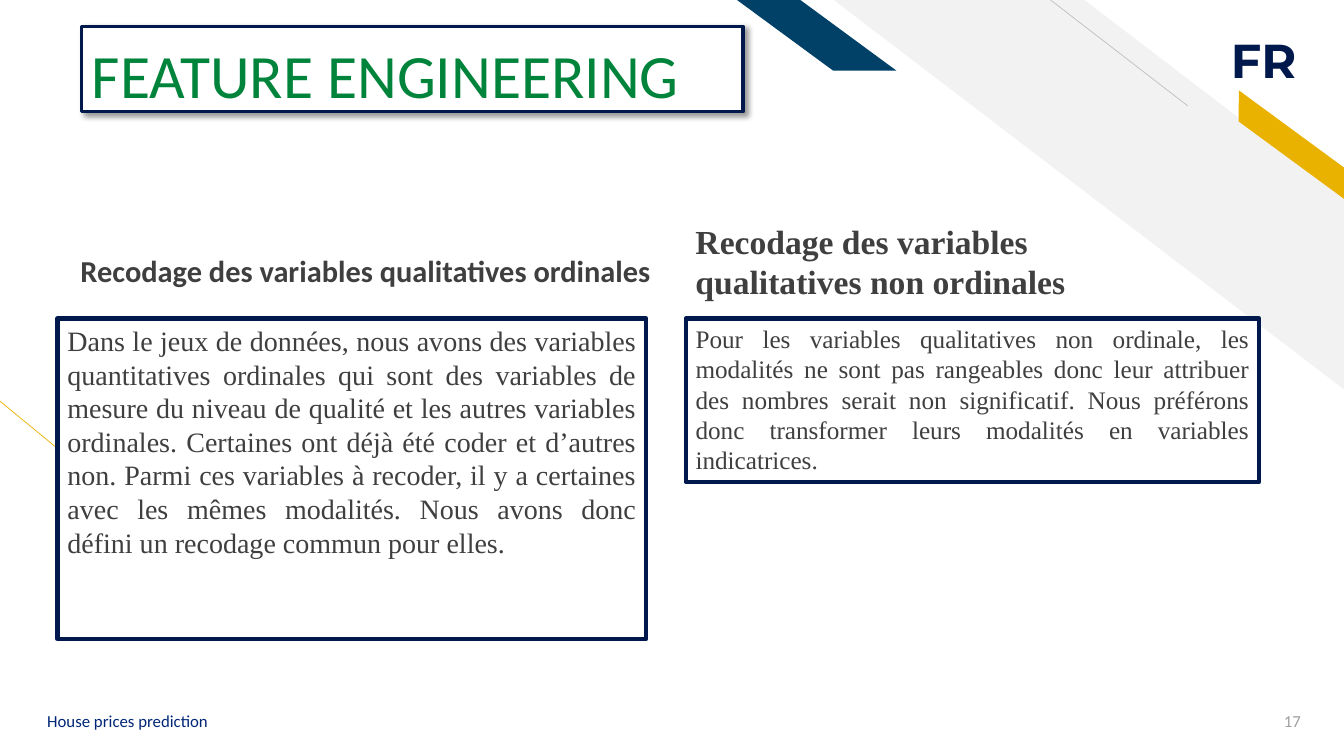
import pptx
import pptx.util
import pptx.dml.color
import pptx.oxml
from pptx.enum.shapes import MSO_CONNECTOR, MSO_SHAPE
from pptx.enum.text import MSO_ANCHOR, MSO_AUTO_SIZE, PP_ALIGN
from pptx.oxml.ns import nsdecls, qn

Inches, Pt = pptx.util.Inches, pptx.util.Pt

NAVY, BLUE, GOLD, GREEN = "00194C", "014067", "EAB200", "00843B"
TEXT, PALE, WHITE = "3F3F3F", "F2F2F2", "FFFFFF"
SANS, SERIF = "Calibri", "Times New Roman"

ORDINAL = (
    "Dans le jeux de données, nous avons des variables quantitatives ordinales qui sont "
    "des variables de mesure du niveau de qualité et les autres variables ordinales. "
    "Certaines ont déjà été coder et d’autres non. Parmi ces variables à recoder, il y a "
    "certaines avec les mêmes modalités. Nous avons donc défini un recodage commun pour elles."
)
NON_ORDINAL = (
    "Pour les variables qualitatives non ordinale, les modalités ne sont pas rangeables "
    "donc leur attribuer des nombres serait non significatif. Nous préférons donc "
    "transformer leurs modalités en variables indicatrices."
)


def colour(code):
    return pptx.dml.color.RGBColor.from_string(code)


class SlideBuilder:
    def __init__(self, deck):
        self.page = deck.slides.add_slide(deck.slide_layouts[5])
        self.shapes = self.page.shapes

    def line(self, start, end, code):
        connector = self.shapes.add_connector(
            MSO_CONNECTOR.STRAIGHT, *map(Inches, start + end))
        connector.line.color.rgb = colour(code)
        connector.line.width = Pt(0.5)
        connector._element.spPr.append(
            pptx.oxml.parse_xml(f"<a:effectLst {nsdecls('a')}/>"))

    def stripe(self, kind, place, adjustment, code, rotation=0):
        """Add a decorative band mirrored left to right."""
        band = self.shapes.add_shape(kind, *map(Inches, place))
        band.adjustments[0] = adjustment
        band.rotation = rotation
        band._element.spPr.find(qn("a:xfrm")).set("flipH", "1")
        band.shadow.inherit = False
        band.fill.solid()
        band.fill.fore_color.rgb = colour(code)
        band.line.fill.background()

    def frame(self, box, width):
        """Give a box a white fill and a navy outline."""
        box.fill.solid()
        box.fill.fore_color.rgb = colour(WHITE)
        box.line.color.rgb = colour(NAVY)
        box.line.width = Pt(width)

    def set_text(self, box, text, size, font, code, bold=False, align=PP_ALIGN.LEFT,
                 anchor=MSO_ANCHOR.TOP, spacing=1.0, wrap=True):
        words = box.text_frame
        words.text = text
        words.word_wrap = wrap
        words.auto_size = MSO_AUTO_SIZE.NONE
        words.vertical_anchor = anchor
        para = words.paragraphs[0]
        para.alignment = align
        para.line_spacing = spacing
        span = para.runs[0]
        span.font.size = Pt(size)
        span.font.name = font
        span.font.bold = bold
        span.font.color.rgb = colour(code)

    def title(self, place, text):
        box = self.shapes.title
        box.left, box.top, box.width, box.height = map(Inches, place)
        self.frame(box, 2.25)
        self.set_text(box, text, 44, SANS, GREEN, anchor=MSO_ANCHOR.BOTTOM, spacing=0.9)
        box.text_frame.margin_bottom = 0
        box._element.spPr.append(pptx.oxml.parse_xml(
            f"<a:effectLst {nsdecls('a')}>"
            f'<a:outerShdw blurRad="{Pt(4)}" dist="{Pt(3)}" dir="2700000" algn="tl" '
            'rotWithShape="0"><a:srgbClr val="000000"><a:alpha val="40000"/></a:srgbClr>'
            "</a:outerShdw></a:effectLst>"))
        # The title stands in front of the decoration.
        self.shapes._spTree.append(box._element)

    def label(self, place, text, size, font, code, **style):
        box = self.shapes.add_textbox(*map(Inches, place))
        self.set_text(box, text, size, font, code, **style)

    def panel(self, place, text, size):
        box = self.shapes.add_shape(MSO_SHAPE.RECTANGLE, *map(Inches, place))
        box.shadow.inherit = False
        self.frame(box, 3)
        self.set_text(box, text, size, SERIF, TEXT, align=PP_ALIGN.JUSTIFY)


def main():
    deck = pptx.Presentation()
    deck.slide_width, deck.slide_height = Inches(13.33), Inches(7.5)
    slide = SlideBuilder(deck)

    slide.line((2.08, 5.69), (0, 3.98), GOLD)
    slide.stripe(MSO_SHAPE.DIAGONAL_STRIPE, (8.27, 0, 5.07, 3.87), 0.51, PALE)
    slide.line((11.78, 1.05), (10.42, 0), "BFBFBF")
    slide.stripe(MSO_SHAPE.PARALLELOGRAM, (12.07, 1.31, 1.48, 0.25), 0.72, GOLD, 36.3)
    slide.label((12.11, 0.26, 0.89, 0.67), "FR", 34, "Montserrat", NAVY,
                bold=True, wrap=False)
    slide.stripe(MSO_SHAPE.PARALLELOGRAM, (7.31, 0, 1.58, 0.7), 1.36, BLUE)

    slide.title((0.81, 0.26, 6.56, 0.85), "FEATURE ENGINEERING")

    slide.label((0.7, 2.17, 6.43, 0.74), "Recodage des variables qualitatives ordinales",
                21.7, SANS, TEXT, bold=True, anchor=MSO_ANCHOR.BOTTOM, spacing=0.8)
    slide.panel((0.57, 3.16, 5.84, 3.18), ORDINAL, 20)
    slide.label((6.8, 2.14, 4.97, 0.91), "Recodage des variables qualitatives non ordinales",
                24, SERIF, TEXT, bold=True)
    slide.panel((6.8, 3.16, 5.69, 1.62), NON_ORDINAL, 18)

    slide.label((0.37, 6.95, 4.5, 0.4), "House prices prediction", 12, SANS, "002777",
                anchor=MSO_ANCHOR.MIDDLE)
    slide.label((12.19, 6.95, 0.81, 0.4), "17", 12, SANS, "9F9F9F",
                align=PP_ALIGN.RIGHT, anchor=MSO_ANCHOR.MIDDLE)

    deck.save("out.pptx")


if __name__ == "__main__":
    main()
